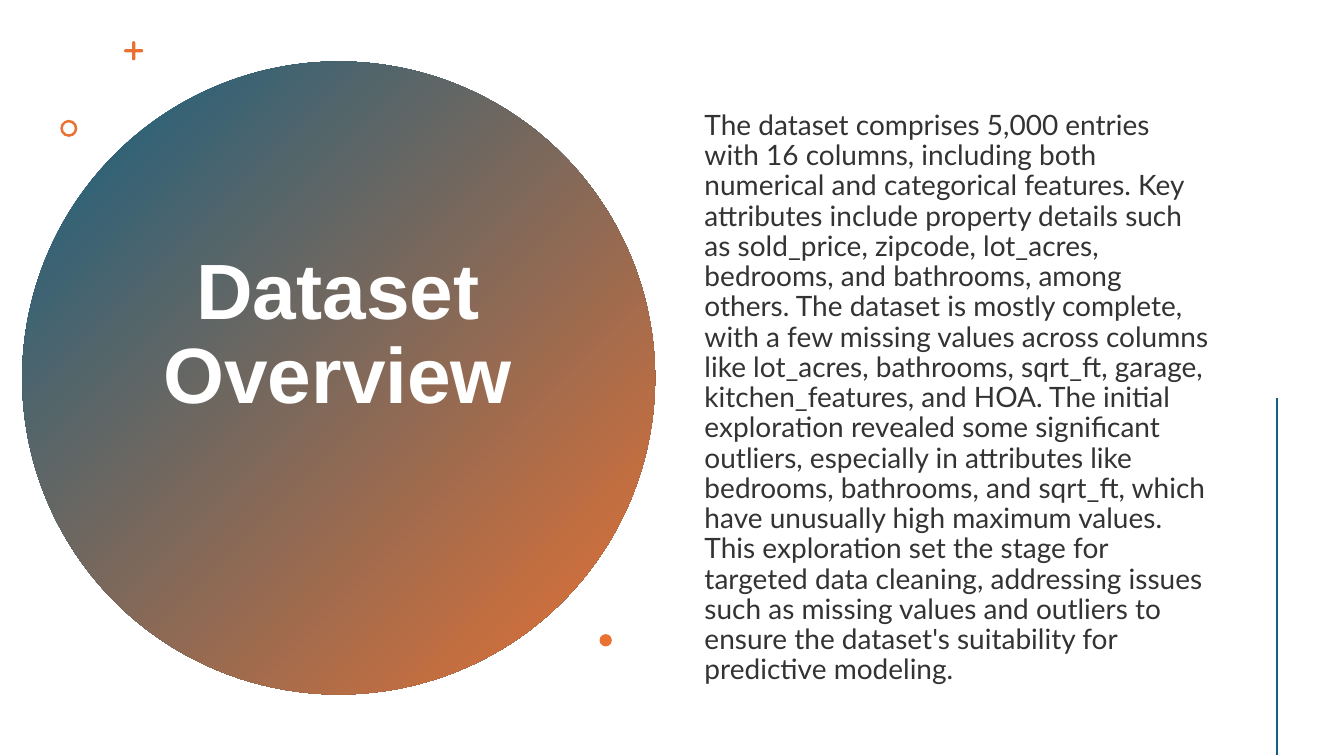
import math
from dataclasses import dataclass

from lxml import etree
from pptx import Presentation
from pptx import util as u
from pptx.dml import color
from pptx.enum import shapes, text
from pptx.oxml import ns


@dataclass(frozen=True)
class Theme:
    """Colours, fonts and type sizes of the slide."""
    blue: str = "156082"
    orange: str = "E97132"
    white: str = "FFFFFF"
    ink: str = "333333"
    title_font: str = "Arial"
    body_font: str = "Lato"
    title_size: int = 56
    body_size: int = 20


@dataclass(frozen=True)
class Box:
    """A rectangle in centimetres."""
    left: float
    top: float
    width: float
    height: float

    def inner(self, left, top, width, height):
        """Return a box placed relative to this one."""
        return Box(self.left + left, self.top + top, width, height)

    def lengths(self):
        """Return the four measures as lengths."""
        return [u.Cm(value) for value in (self.left, self.top, self.width, self.height)]


THEME = Theme()
SUMMARY = (
    "The dataset comprises 5,000 entries with 16 columns, including both numerical and "
    "categorical features. Key attributes include property details such as sold_price, "
    "zipcode, lot_acres, bedrooms, and bathrooms, among others. The dataset is mostly "
    "complete, with a few missing values across columns like lot_acres, bathrooms, sqrt_ft, "
    "garage, kitchen_features, and HOA. The initial exploration revealed some significant "
    "outliers, especially in attributes like bedrooms, bathrooms, and sqrt_ft, which have "
    "unusually high maximum values. This exploration set the stage for targeted data "
    "cleaning, addressing issues such as missing values and outliers to ensure the dataset's "
    "suitability for predictive modeling."
)


def rgb(value):
    """Turn a hex string into a colour."""
    return color.RGBColor.from_string(value)


def apply(target, values):
    """Set every attribute named in the values."""
    for name, value in values.items():
        setattr(target, name, value)


def paint(shape, fill):
    """Give a shape a plain fill without outline or shadow."""
    shape.fill.solid()
    shape.fill.fore_color.rgb = rgb(fill)
    shape.line.fill.background()
    shape.shadow.inherit = False


def add_preset(slide, kind, box, fill):
    """Add a painted preset shape in the box."""
    shape = slide.shapes.add_shape(kind, *box.lengths())
    paint(shape, fill)
    return shape


def fill_placeholder(placeholder, box, words, frame_format, paragraph_format, font_format, ink):
    """Place a placeholder in the box and format its single paragraph."""
    apply(placeholder, dict(zip(("left", "top", "width", "height"), box.lengths())))
    frame = placeholder.text_frame
    frame.text = words
    apply(frame, {"word_wrap": True, "auto_size": text.MSO_AUTO_SIZE.NONE,
                  "vertical_anchor": text.MSO_ANCHOR.MIDDLE, **frame_format})
    paragraph = frame.paragraphs[0]
    apply(paragraph, {"line_spacing": 0.9, "space_before": u.Pt(0), **paragraph_format})
    font = paragraph.runs[0].font
    apply(font, font_format)
    font.color.rgb = rgb(ink)
    return paragraph


def add_plus(slide, box, fill, half_stroke=0.04):
    """Draw a plus sign with rounded ends that fills the box."""
    reach = box.width / 2
    points = []
    for quarter in range(4):
        turn = math.radians(90 * quarter)
        arm = [(reach - half_stroke + half_stroke * math.cos(math.radians(angle)),
                half_stroke * math.sin(math.radians(angle))) for angle in range(-90, 91, 15)]
        for x, y in arm + [(half_stroke, half_stroke)]:
            points.append((u.Cm(box.left + reach + x * math.cos(turn) - y * math.sin(turn)),
                           u.Cm(box.top + reach + x * math.sin(turn) + y * math.cos(turn))))
    builder = slide.shapes.build_freeform(*points[0])
    builder.add_line_segments(points[1:], close=True)
    paint(builder.convert_to_shape(), fill)


def add_title_circle(slide, box):
    """Build the gradient circle with the title and its small ornaments."""
    title = slide.shapes.title
    circle = add_preset(slide, shapes.MSO_SHAPE.OVAL, box, THEME.blue)
    circle.fill.gradient()
    circle.fill.gradient_angle = 315
    for stop, shade in zip(circle.fill.gradient_stops, (THEME.blue, THEME.orange)):
        stop.color.rgb = rgb(shade)
    title.element.addprevious(circle.element)

    fill_placeholder(
        title, box.inner(2.89, 2.03, 10.13, 11.86), "Dataset Overview",
        {"margin_bottom": u.Cm(2.2)},
        {"alignment": text.PP_ALIGN.CENTER},
        {"name": THEME.title_font, "size": u.Pt(THEME.title_size), "bold": True},
        THEME.white)

    add_plus(slide, box.inner(2.57, -0.51, 0.48, 0.48), THEME.orange)
    ring = add_preset(slide, shapes.MSO_SHAPE.DONUT, box.inner(0.96, 1.47, 0.43, 0.43),
                      THEME.orange)
    ring.adjustments[0] = 0.15
    add_preset(slide, shapes.MSO_SHAPE.OVAL, box.inner(14.55, 14.43, 0.31, 0.31), THEME.orange)


def add_summary(slide, box):
    """Write the dataset summary as an unbulleted body paragraph."""
    paragraph = fill_placeholder(
        slide.placeholders[1], box, SUMMARY,
        {"margin_top": u.Cm(1.1)},
        {"alignment": text.PP_ALIGN.LEFT, "space_after": u.Pt(6)},
        {"name": THEME.body_font, "size": u.Pt(THEME.body_size)},
        THEME.ink)
    properties = paragraph._p.get_or_add_pPr()
    for name in ("marL", "indent"):
        properties.set(name, "0")
    etree.SubElement(properties, ns.qn("a:buNone"))


def add_side_rule(slide, box):
    """Draw the vertical rule down the left side of the box."""
    left, top, _, height = box.lengths()
    rule = slide.shapes.add_connector(shapes.MSO_CONNECTOR.STRAIGHT, left, top, left, top + height)
    rule.line.width = u.Pt(2)
    rule.line.color.rgb = rgb(THEME.blue)
    etree.SubElement(rule.element.spPr, ns.qn("a:effectLst"))


def main():
    """Build and save the presentation."""
    presentation = Presentation()
    apply(presentation, {"slide_width": u.Cm(33.87), "slide_height": u.Cm(19.05)})
    slide = presentation.slides.add_slide(presentation.slide_layouts[1])
    add_title_circle(slide, Box(0.56, 1.55, 15.95, 15.95))
    add_summary(slide, Box(17.5, 1.45, 13.26, 16.21))
    add_side_rule(slide, Box(32.18, 10.03, 0, 9))
    presentation.save("out.pptx")


if __name__ == "__main__":
    main()
